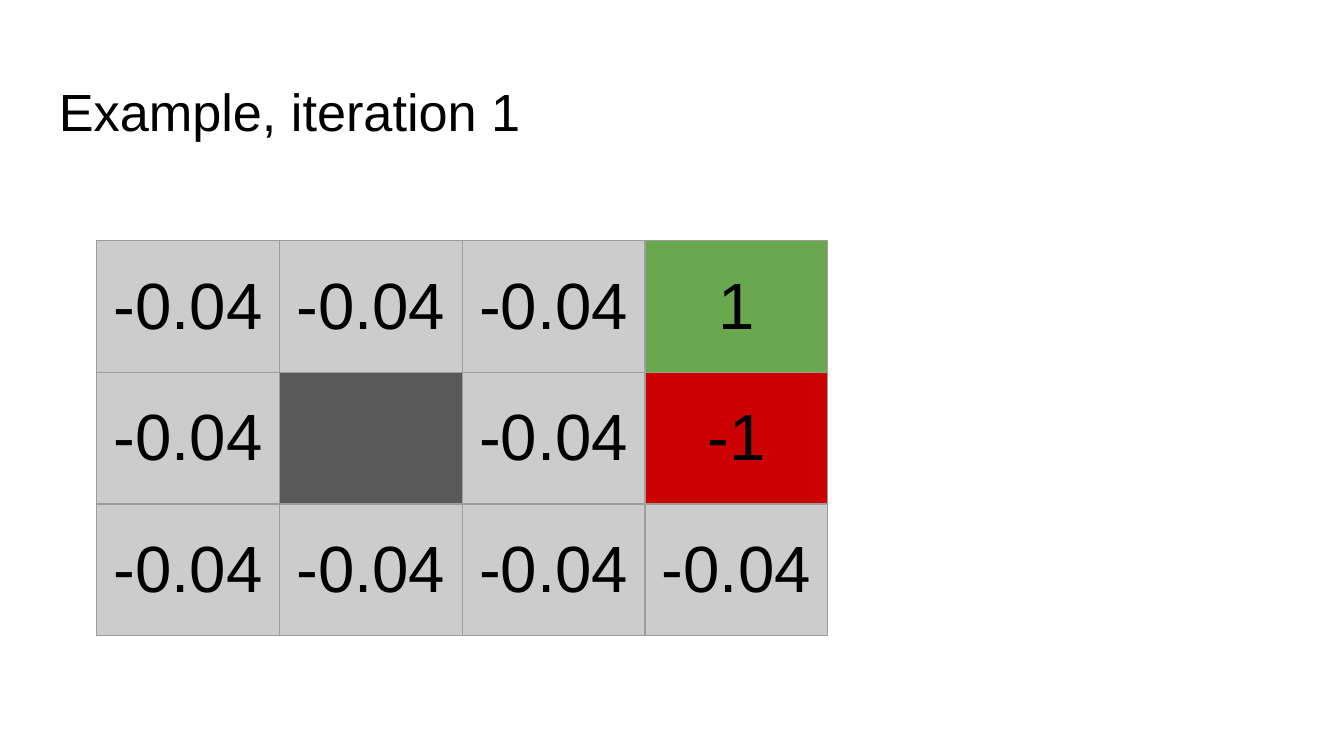
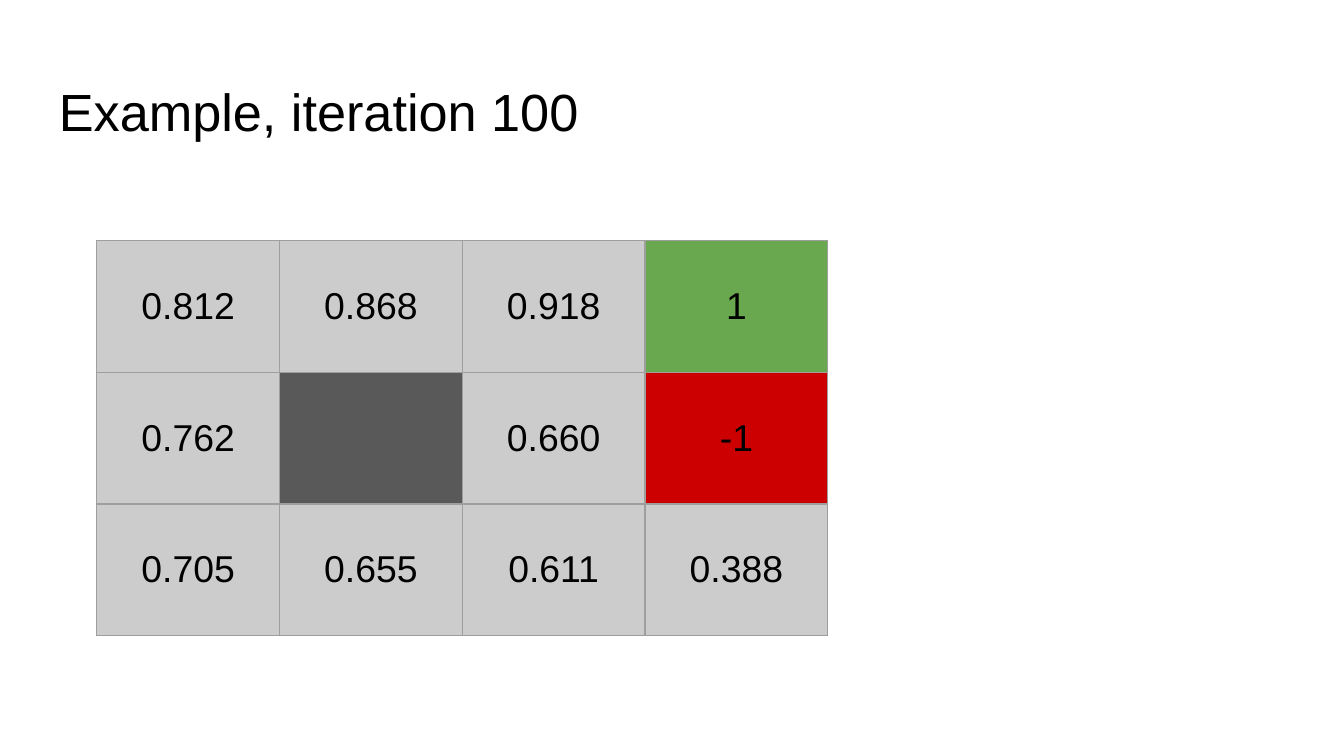
from lxml import etree
from pptx import Presentation
from pptx import util as u
from pptx.dml import color
from pptx.enum import text
from pptx.oxml import ns

COLORS = {
    "text": "000000",
    "border": "9E9E9E",
    "open": "CCCCCC",
    "wall": "595959",
    "goal": "6AA84F",
    "pit": "CC0000",
}
FONT = "Arial"
COLUMN_WIDTH, ROW_HEIGHT = 1.36, 0.98
SPECIAL_STATES = {(0, 3): "goal", (1, 1): "wall", (1, 3): "pit"}

iterations = [
    ("Example, iteration 1", 35, [
        ["-0.04", "-0.04", "-0.04", "1"],
        ["-0.04", "", "-0.04", "-1"],
        ["-0.04", "-0.04", "-0.04", "-0.04"],
    ]),
    ("Example, iteration 100", 20, [
        ["0.812", "0.868", "0.918", "1"],
        ["0.762", "", "0.660", "-1"],
        ["0.705", "0.655", "0.611", "0.388"],
    ]),
]


def add_run(paragraph, wording, size):
    run = paragraph.add_run()
    run.text = wording
    run.font.name = FONT
    run.font.size = u.Pt(size)
    run.font.color.rgb = color.RGBColor.from_string(COLORS["text"])


def style_state(cell, fill):
    cell.margin_left = cell.margin_right = u.Inches(0.1)
    cell.margin_top = cell.margin_bottom = u.Inches(0.1)
    cell.vertical_anchor = text.MSO_ANCHOR.MIDDLE
    properties = cell._tc.get_or_add_tcPr()
    for side in ("lnL", "lnR", "lnT", "lnB"):
        line = etree.SubElement(properties, ns.qn(f"a:{side}"), w=str(u.Pt(0.75)))
        solid = etree.SubElement(line, ns.qn("a:solidFill"))
        etree.SubElement(solid, ns.qn("a:srgbClr"), val=COLORS["border"])
    cell.fill.solid()
    cell.fill.fore_color.rgb = color.RGBColor.from_string(COLORS[fill])


deck = Presentation()
deck.slide_width = u.Inches(10)
deck.slide_height = deck.slide_width * 9 // 16

for heading, value_size, values in iterations:
    slide = deck.slides.add_slide(deck.slide_layouts[6])

    title = slide.shapes.add_textbox(
        u.Inches(0.34), u.Inches(0.49), u.Inches(9.32), u.Inches(0.63)).text_frame
    title.word_wrap = True
    title.margin_left = title.margin_right = u.Inches(0.1)
    title.margin_top = title.margin_bottom = u.Inches(0.1)
    add_run(title.paragraphs[0], heading, 28)

    grid = slide.shapes.add_table(
        len(values), len(values[0]), u.Inches(0.72), u.Inches(1.79),
        u.Inches(COLUMN_WIDTH * len(values[0])),
        u.Inches(ROW_HEIGHT * len(values))).table
    grid.first_row = grid.horz_banding = False
    for column in grid.columns:
        column.width = u.Inches(COLUMN_WIDTH)
    for row_number, row_values in enumerate(values):
        grid.rows[row_number].height = u.Inches(ROW_HEIGHT)
        for column_number, value in enumerate(row_values):
            state = grid.cell(row_number, column_number)
            style_state(state, SPECIAL_STATES.get((row_number, column_number), "open"))
            if value:
                paragraph = state.text_frame.paragraphs[0]
                paragraph.alignment = text.PP_ALIGN.CENTER
                add_run(paragraph, value, value_size)

deck.save("out.pptx")
